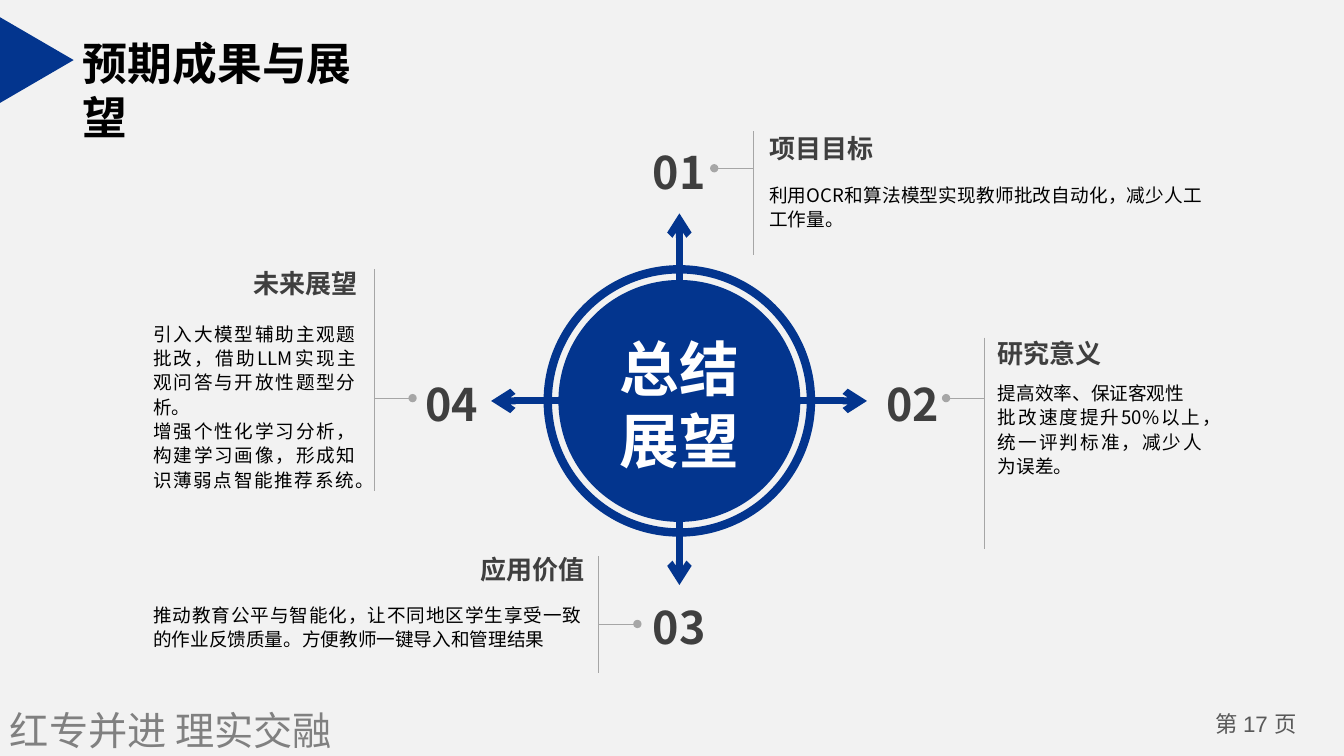
from dataclasses import dataclass

from lxml import etree
from pptx import Presentation
from pptx.dml.color import RGBColor
from pptx.enum.shapes import MSO_CONNECTOR, MSO_SHAPE
from pptx.enum.text import PP_ALIGN
from pptx.oxml.ns import qn
from pptx.util import Pt

LEFT, CENTER, RIGHT, JUSTIFY = PP_ALIGN.LEFT, PP_ALIGN.CENTER, PP_ALIGN.RIGHT, PP_ALIGN.JUSTIFY
STRAIGHT = MSO_CONNECTOR.STRAIGHT
OVAL, TRIANGLE = MSO_SHAPE.OVAL, MSO_SHAPE.ISOSCELES_TRIANGLE


@dataclass(frozen=True)
class Theme:
    background: str = "F2F2F2"
    blue: str = "03358E"
    rule: str = "A6A6A6"
    heading: str = "3F3F3F"
    black: str = "000000"
    white: str = "FFFFFF"
    motto: str = "808080"
    page_number: str = "595959"
    font: str = "Noto Sans CJK SC"
    latin: str = "Arial"
    hub_size: float = 42.6
    title_size: float = 32
    motto_size: float = 28
    heading_size: float = 18.6
    page_size: float = 16
    body_size: float = 13.3
    body_leading: float = 17.4
    single_line: float = 1.27
    double_line: float = 1.2


class SlideBuilder:
    def __init__(self, page, theme):
        self.page = page
        self.theme = theme
        page.background.fill.solid()
        page.background.fill.fore_color.rgb = RGBColor.from_string(theme.background)

    def text(self, frame, paragraphs, size, color, bold=False, align=LEFT,
             leading=None, insets=(0, 0)):
        """Each paragraph is a list of (words, latin font) runs."""
        box = self.page.shapes.add_textbox(*map(Pt, frame))
        body = box.text_frame
        body.word_wrap = True
        body.margin_left = body.margin_right = Pt(insets[0])
        body.margin_top = body.margin_bottom = Pt(insets[1])
        for index, runs in enumerate(paragraphs):
            para = body.paragraphs[0] if index == 0 else body.add_paragraph()
            para.alignment = align
            para.line_spacing = Pt(leading or size * self.theme.single_line)
            for words, font in runs:
                span = para.add_run()
                span.text = words
                span.font.name = font
                span.font.size = Pt(size)
                span.font.bold = bold
                span.font.color.rgb = RGBColor.from_string(color)
                east_asian = etree.SubElement(span.font._element, qn("a:ea"))
                east_asian.set("typeface", self.theme.font)

    def shape(self, kind, frame, fill=None, outline=None, rotation=0):
        shape = self.page.shapes.add_shape(kind, *map(Pt, frame))
        shape.shadow.inherit = False
        shape.rotation = rotation
        if fill:
            shape.fill.solid()
            shape.fill.fore_color.rgb = RGBColor.from_string(fill)
        else:
            shape.fill.background()
        if outline:
            color, width = outline
            shape.line.color.rgb = RGBColor.from_string(color)
            shape.line.width = Pt(width)
        else:
            shape.line.fill.background()

    def line(self, start, end, color, width, tail=None):
        line = self.page.shapes.add_connector(STRAIGHT, *map(Pt, (*start, *end)))
        line.line.color.rgb = RGBColor.from_string(color)
        line.line.width = Pt(width)
        if tail:
            etree.SubElement(line.line._get_or_add_ln(), qn("a:tailEnd")).set("type", tail)
        etree.SubElement(line._element.spPr, qn("a:effectLst"))

    def section(self, number, number_at, spine, branch_y, side, heading, heading_frame,
                paragraphs, body_frame):
        """A number, a branched rule, a heading and its text; side is 1 for text on the right."""
        theme = self.theme
        x, top, bottom = spine
        self.text((*number_at, 50.4, 39), [[(number, theme.font)]], theme.title_size,
                  theme.heading, bold=True, align=CENTER)
        self.line((x, top), (x, bottom), theme.rule, 0.5)
        self.line((x, branch_y), (x - side * 27.6, branch_y), theme.rule, 0.5, "oval")
        self.text(heading_frame, [[(heading, theme.font)]], theme.heading_size,
                  theme.heading, bold=True, align=LEFT if side > 0 else RIGHT)
        self.text(body_frame, [[(words, theme.font)] for words in paragraphs],
                  theme.body_size, theme.black, align=JUSTIFY, leading=theme.body_leading)


HUB = (485.3, 286.4)

# Direction from the hub and distance to the arrow tip
ARROWS = [(0, -1, 134), (1, 0, 134), (0, 1, 131.5), (-1, 0, 134.5)]

SECTIONS = [
    ("01", (460, 100.8), (537.8, 93.6, 182.2), 120.2, 1,
     "项目目标", (549.4, 93.6, 223, 22.3),
     ["利用OCR和算法模型实现教师批改自动化，减少人工工作量。"],
     (549.4, 129.6, 309.6, 35)),
    ("02", (627, 267), (703.4, 241.2, 392.4), 284.4, 1,
     "研究意义", (712.8, 239.8, 146.2, 22.3),
     ["提高效率、保证客观性", "批改速度提升50%以上，统一评判标准，减少人为误差。"],
     (712.8, 271.4, 146.2, 70)),
    ("03", (460, 426.2), (427.7, 397.4, 481), 445.7, -1,
     "应用价值", (271.4, 393.8, 146.2, 22.3),
     ["推动教育公平与智能化，让不同地区学生享受一致的作业反馈质量。方便教师一键导入和管理结果"],
     (109.4, 429.8, 306, 35)),
    ("04", (297.4, 267), (267.1, 192.2, 350.6), 284.4, -1,
     "未来展望", (109.4, 190, 146.2, 22.3),
     ["引入大模型辅助主观题批改，借助LLM实现主观问答与开放性题型分析。",
      "增强个性化学习分析，构建学习画像，形成知识薄弱点智能推荐系统。"],
     (109.4, 229, 144.7, 122)),
]


def main():
    deck = Presentation()
    deck.slide_width, deck.slide_height = Pt(960), Pt(540)
    theme = Theme()
    slide = SlideBuilder(deck.slides.add_slide(deck.slide_layouts[6]), theme)

    # Footer
    slide.text((854, 502.6, 86.4, 28.8),
               [[("第 ", theme.font), ("17 ", theme.latin), ("页", theme.font)]],
               theme.page_size, theme.page_number, align=CENTER, insets=(0, 3.6))
    slide.text((0, 499, 283.7, 41), [[("红专并进 理实交融", theme.font)]],
               theme.motto_size, theme.motto, insets=(7.2, 3.6))

    # Title and corner marker
    slide.text((49.7, 18.7, 240, 48.2), [[("预期成果与展望", theme.latin)]],
               theme.title_size, theme.black, bold=True,
               leading=theme.title_size * theme.double_line, insets=(9.4, 7))
    slide.shape(TRIANGLE, (-4.3, 16.6, 61.2, 52.6), fill=theme.blue, rotation=90)

    # Ring and arrows
    x, y = HUB
    slide.shape(OVAL, (x - 94, y - 94, 188, 188), outline=(theme.blue, 6))
    for across, down, reach in ARROWS:
        slide.line((x + across * 75, y + down * 75), (x + across * reach, y + down * reach),
                   theme.blue, 5, "arrow")

    # Four sections
    for section in SECTIONS:
        slide.section(*section)

    # Hub
    slide.shape(OVAL, (x - 86.4, y - 86.4, 172.8, 172.8), fill=theme.blue)
    slide.text((x - 63, 229.7, 126, 110.9), [[("总结展望", theme.font)]],
               theme.hub_size, theme.white, bold=True, align=CENTER,
               leading=theme.hub_size * theme.double_line, insets=(7.2, 7.5))

    deck.save("out.pptx")


if __name__ == "__main__":
    main()
